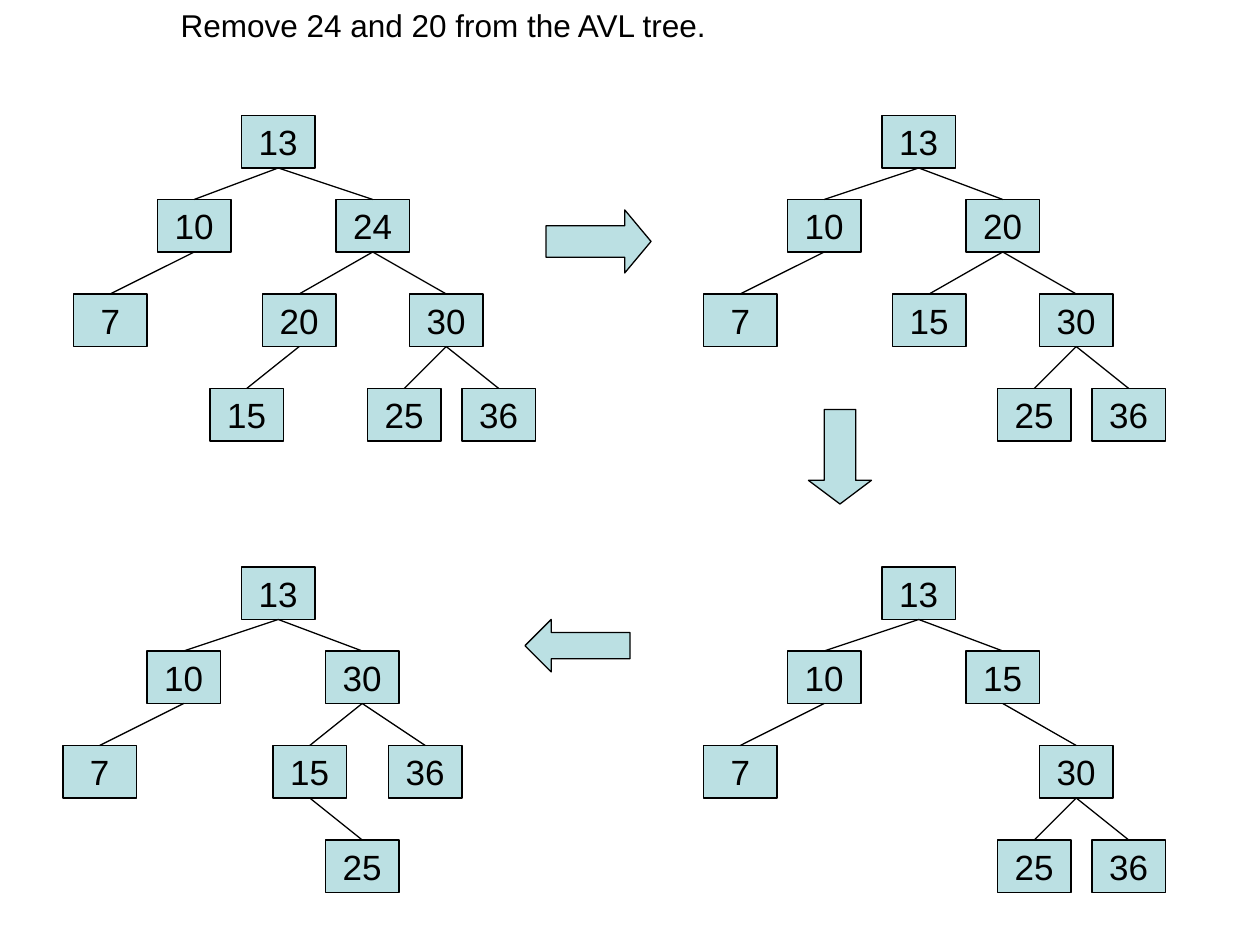
from dataclasses import dataclass
from typing import Optional

from lxml import etree
from pptx import Presentation
from pptx.dml.color import RGBColor
from pptx.enum.shapes import MSO_CONNECTOR, MSO_SHAPE
from pptx.enum.text import MSO_ANCHOR, MSO_AUTO_SIZE, PP_ALIGN
from pptx.oxml.ns import qn
from pptx.util import Inches, Pt

RECT = MSO_SHAPE.RECTANGLE
RIGHT, DOWN, LEFT = MSO_SHAPE.RIGHT_ARROW, MSO_SHAPE.DOWN_ARROW, MSO_SHAPE.LEFT_ARROW
STRAIGHT = MSO_CONNECTOR.STRAIGHT
BLACK = RGBColor(0x00, 0x00, 0x00)
AQUA = RGBColor(0xBB, 0xE0, 0xE3)
FONT = "Arial"
LINE_WIDTH = Pt(0.74)
TOP_SITE, BOTTOM_SITE = 0, 2

UNIT = Inches(1) // 12
NODE_W, NODE_H = 7, 5
LEVEL_ROWS = (0, 8, 17, 26)
UPPER, LOWER = 11, 54


@dataclass(frozen=True)
class Node:
    key: int
    col: int
    level: int
    parent: Optional[int] = None


@dataclass(frozen=True)
class Tree:
    row: int
    nodes: tuple[Node, ...]


@dataclass(frozen=True)
class Arrow:
    kind: MSO_SHAPE
    col: int
    row: int
    cols: int
    rows: int
    head: float


LEFT_BRANCH = (Node(13, 84, 0), Node(10, 75, 1, 13), Node(7, 67, 2, 10))
LAST_LEAVES = (Node(25, 95, 3, 30), Node(36, 104, 3, 30))

TREES = (
    Tree(UPPER, (
        Node(13, 23, 0), Node(10, 15, 1, 13), Node(24, 32, 1, 13),
        Node(7, 7, 2, 10), Node(20, 25, 2, 24), Node(30, 39, 2, 24),
        Node(15, 20, 3, 20), Node(25, 35, 3, 30), Node(36, 44, 3, 30),
    )),
    Tree(UPPER, LEFT_BRANCH + (
        Node(20, 92, 1, 13), Node(15, 85, 2, 20), Node(30, 99, 2, 20),
    ) + LAST_LEAVES),
    Tree(LOWER, LEFT_BRANCH + (
        Node(15, 92, 1, 13), Node(30, 99, 2, 15),
    ) + LAST_LEAVES),
    Tree(LOWER, (
        Node(13, 23, 0), Node(10, 14, 1, 13), Node(30, 31, 1, 13),
        Node(7, 6, 2, 10), Node(15, 26, 2, 30), Node(36, 37, 2, 30),
        Node(25, 31, 3, 15),
    )),
)

ARROWS = (
    Arrow(RIGHT, 52, 20, 10, 6, 0.417),
    Arrow(DOWN, 77, 39, 6, 9, 0.375),
    Arrow(LEFT, 50, 59, 10, 5, 0.5),
)


def format_text(p, size: int) -> None:
    for r in p.runs:
        r.font.size = Pt(size)
        r.font.name = FONT
        r.font.color.rgb = BLACK


def add_block(slide, kind: MSO_SHAPE, col: int, row: int, cols: int, rows: int):
    sp = slide.shapes.add_shape(kind, col * UNIT, row * UNIT, cols * UNIT, rows * UNIT)
    sp.shadow.inherit = False
    sp.fill.solid()
    sp.fill.fore_color.rgb = AQUA
    sp.line.color.rgb = BLACK
    sp.line.width = LINE_WIDTH
    return sp


def add_node(slide, node: Node, top: int):
    sp = add_block(slide, RECT, node.col, top + LEVEL_ROWS[node.level], NODE_W, NODE_H)
    tf = sp.text_frame
    tf.word_wrap = False
    tf.vertical_anchor = MSO_ANCHOR.MIDDLE
    tf.text = str(node.key)
    p = tf.paragraphs[0]
    p.alignment = PP_ALIGN.CENTER
    format_text(p, 20)
    return sp


def add_edge(slide, parent, child) -> None:
    edge = slide.shapes.add_connector(STRAIGHT, 0, 0, 0, 0)
    edge.begin_connect(parent, BOTTOM_SITE)
    edge.end_connect(child, TOP_SITE)
    edge.line.color.rgb = BLACK
    edge.line.width = LINE_WIDTH
    etree.SubElement(edge._element.spPr, qn("a:effectLst"))


def add_tree(slide, tree: Tree) -> None:
    boxes = {node.key: add_node(slide, node, tree.row) for node in tree.nodes}
    for node in tree.nodes:
        if node.parent is not None:
            add_edge(slide, boxes[node.parent], boxes[node.key])


def add_arrow(slide, arrow: Arrow) -> None:
    sp = add_block(slide, arrow.kind, arrow.col, arrow.row, arrow.cols, arrow.rows)
    sp.adjustments[0] = 0.5
    sp.adjustments[1] = arrow.head


def set_title(slide, text: str) -> None:
    sp = slide.shapes.title
    sp.left, sp.top, sp.width, sp.height = 10 * UNIT, 0, 98 * UNIT, Inches(0.4)
    tf = sp.text_frame
    tf.text = text
    tf.word_wrap = True
    tf.auto_size = MSO_AUTO_SIZE.SHAPE_TO_FIT_TEXT
    tf.vertical_anchor = MSO_ANCHOR.TOP
    p = tf.paragraphs[0]
    p.alignment = PP_ALIGN.LEFT
    p.space_before = Pt(4.5)
    pPr = p._p.get_or_add_pPr()
    pPr.set("marL", str(Inches(0.5)))
    pPr.set("indent", "0")
    format_text(p, 18)


prs = Presentation()
prs.slide_width, prs.slide_height = Inches(10), Inches(7.5)
slide = prs.slides.add_slide(prs.slide_layouts.get_by_name("Title Only"))
set_title(slide, "Remove 24 and 20 from the AVL tree.")
for tree in TREES:
    add_tree(slide, tree)
for arrow in ARROWS:
    add_arrow(slide, arrow)
prs.save("out.pptx")
